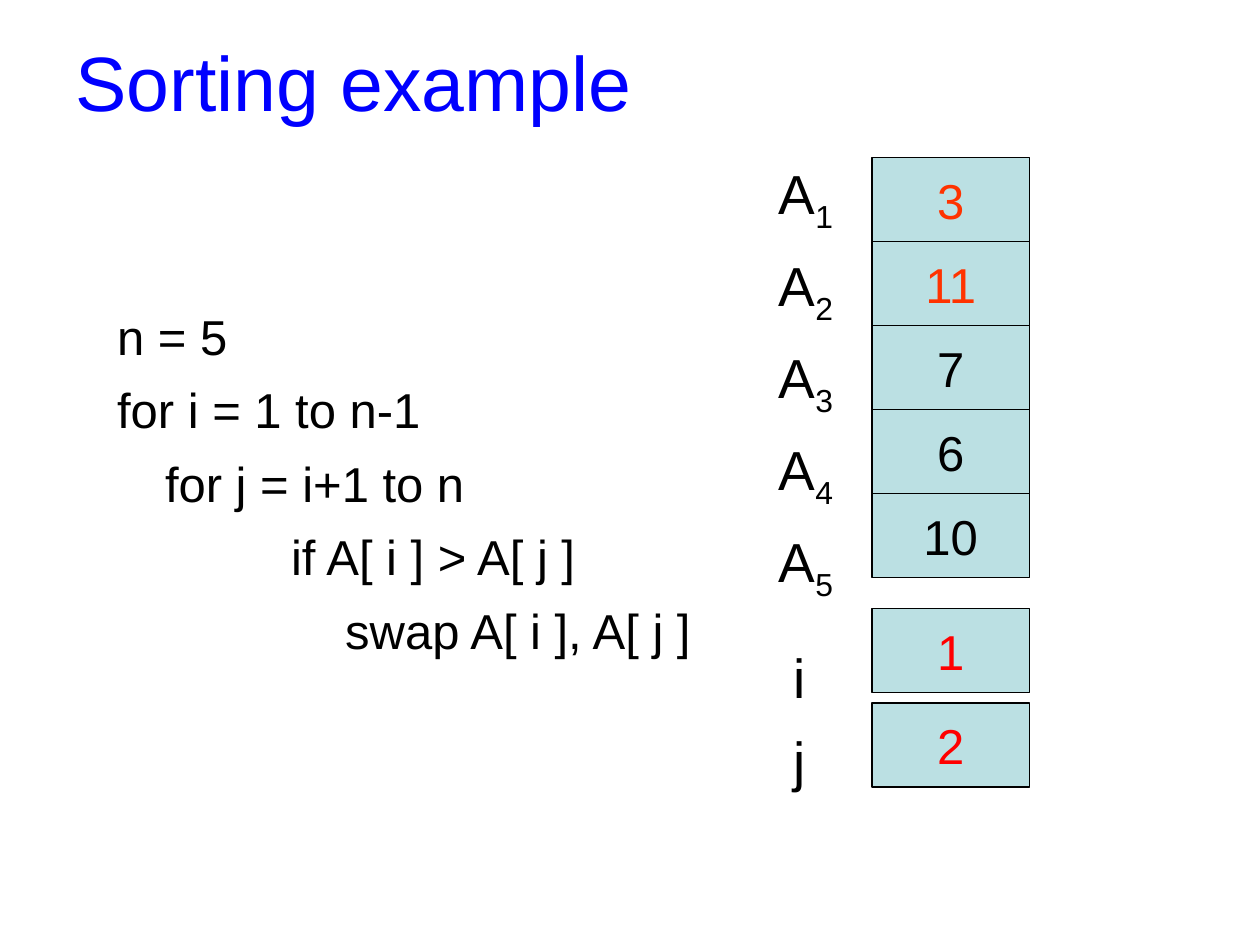
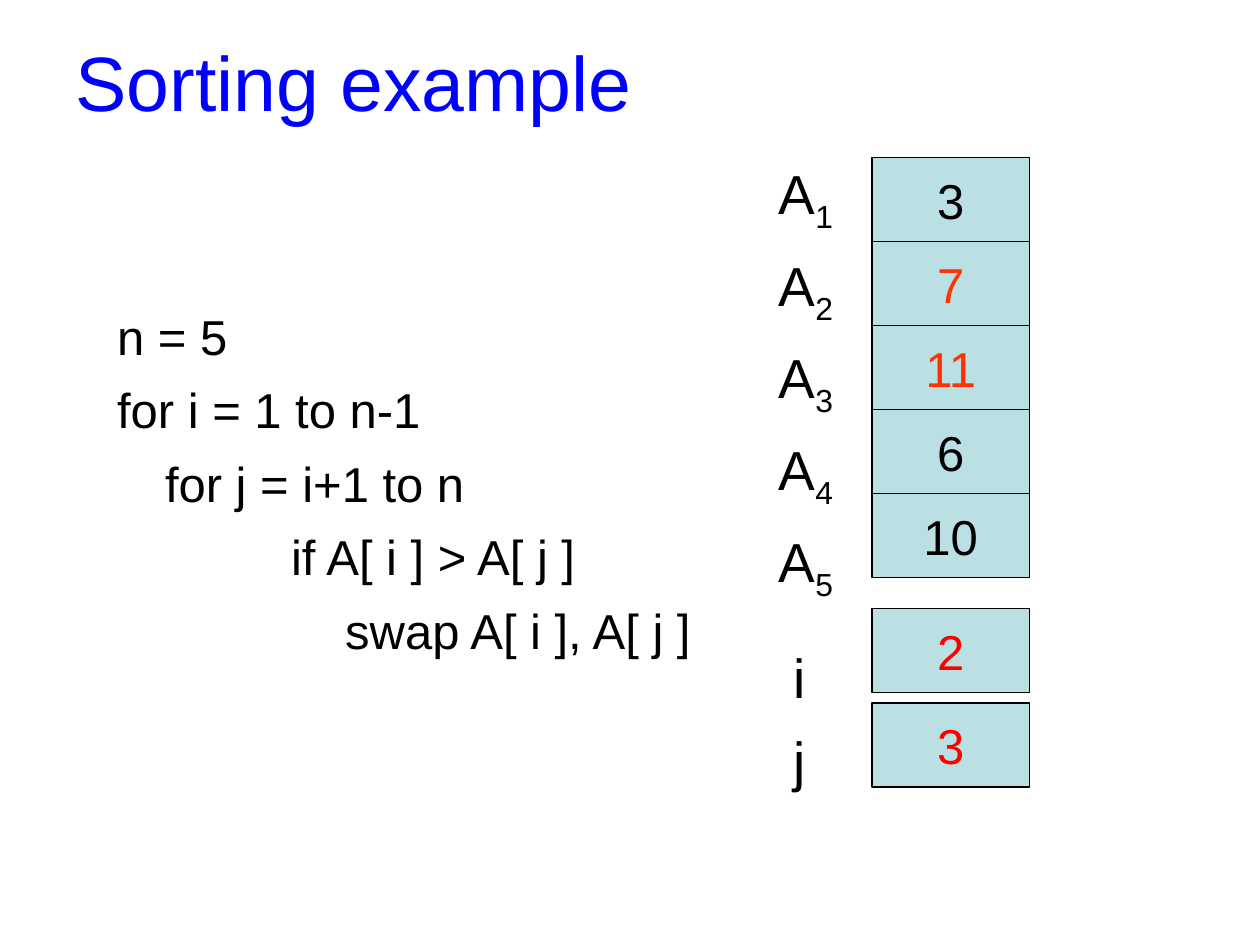
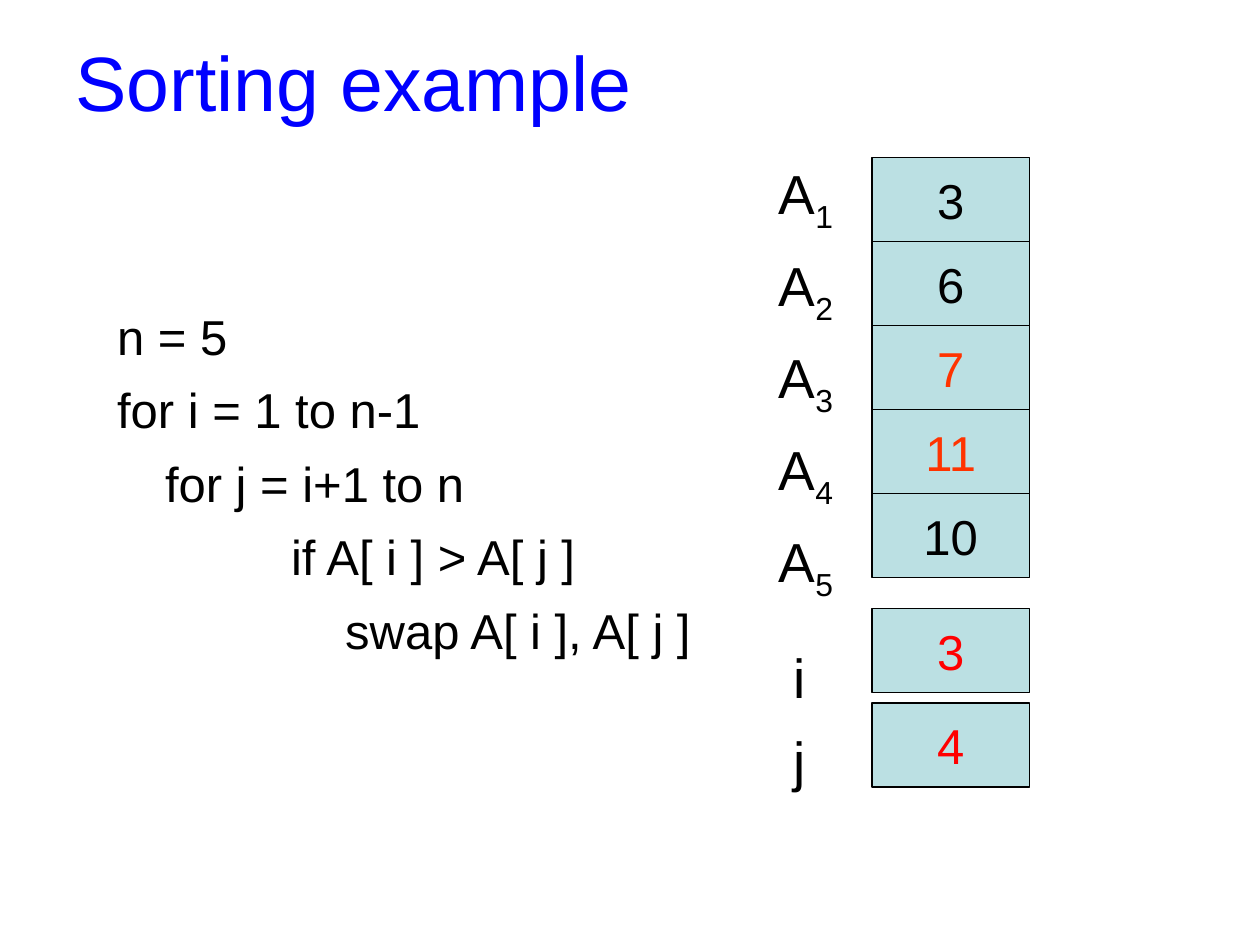
from dataclasses import dataclass

from lxml.etree import SubElement
from pptx import Presentation
from pptx.dml.color import RGBColor
from pptx.enum.shapes import MSO_SHAPE
from pptx.enum.text import MSO_ANCHOR, MSO_AUTO_SIZE, PP_ALIGN
from pptx.oxml.ns import qn
from pptx.util import Inches, Pt

TITLE = "Sorting example"

# Each line: left indent in inches, text
CODE_LINES = [
    (0, "n = 5"),
    (0, "for i = 1 to n-1"),
    (0.38, "for j = i+1 to n"),
    (1.38, "if A[ i ] > A[ j ]"),
    (1.81, "swap A[ i ], A[ j ]"),
]

# Each label: letter, subscript, left indent in inches, space before in points
LABELS = [("A", str(number), 0, 9.6) for number in range(1, 6)]
LABELS += [("i", "", 0.12, 23.3), ("j", "", 0.12, 9.6)]

# Each step: array values, i, j
STEPS = [
    ([3, 11, 7, 6, 10], 1, 2),
    ([3, 7, 11, 6, 10], 2, 3),
    ([3, 6, 7, 11, 10], 3, 4),
]

TITLE_BOX = (0.5, 0.27, 9, 1.25)
CODE_BOX = (0.83, 2.33, 4.92, 5.17)
LABEL_BOX = (6.08, 1.17, 3.5, 5.08)
CELL_LEFT, CELL_WIDTH, CELL_HEIGHT = 6.92, 1.25, 2 / 3
ARRAY_TOP, I_TOP, J_TOP = 1.25, 4.83, 5.58


@dataclass(frozen=True)
class Theme:
    font: str = "Arial"
    title: RGBColor = RGBColor(0x00, 0x00, 0xFF)
    text: RGBColor = RGBColor(0x00, 0x00, 0x00)
    compared: RGBColor = RGBColor(0xFF, 0x33, 0x00)
    index: RGBColor = RGBColor(0xFF, 0x00, 0x00)
    cell: RGBColor = RGBColor(0xBB, 0xE0, 0xE3)
    title_size: float = 44
    body_size: float = 28
    label_size: float = 31.4
    code_spacing: float = 8.4


THEME = Theme()


def add_run(paragraph, text, size, color=THEME.text):
    run = paragraph.add_run()
    run.text = text
    run.font.name = THEME.font
    run.font.size = Pt(size)
    run.font.color.rgb = color
    return run


def prepare_placeholder(placeholder, box, margin_top):
    """Move the placeholder and return its emptied text frame."""
    placeholder.left, placeholder.top, placeholder.width, placeholder.height = map(Inches, box)
    frame = placeholder.text_frame
    frame.auto_size = MSO_AUTO_SIZE.NONE
    frame.word_wrap = True
    frame.vertical_anchor = MSO_ANCHOR.TOP
    frame.margin_top = Inches(margin_top)
    return frame


def add_line(frame, number, indent, space_before):
    """Return an unbulleted paragraph; line 0 is the one already in the frame."""
    paragraph = frame.add_paragraph() if number else frame.paragraphs[0]
    properties = paragraph._p.get_or_add_pPr()
    properties.set("marL", str(Inches(indent)))
    properties.set("indent", "0")
    SubElement(properties, qn("a:buNone"))
    paragraph.space_before = Pt(space_before if number else 0)
    return paragraph


def add_title(placeholder):
    paragraph = prepare_placeholder(placeholder, TITLE_BOX, 0).paragraphs[0]
    paragraph.alignment = PP_ALIGN.LEFT
    add_run(paragraph, TITLE, THEME.title_size, THEME.title)


def add_code(placeholder):
    frame = prepare_placeholder(placeholder, CODE_BOX, 0.1)
    for number, (indent, text) in enumerate(CODE_LINES):
        paragraph = add_line(frame, number, indent, THEME.code_spacing)
        add_run(paragraph, text, THEME.body_size)


def add_labels(placeholder):
    frame = prepare_placeholder(placeholder, LABEL_BOX, 0.1)
    for number, (letter, subscript, indent, space_before) in enumerate(LABELS):
        paragraph = add_line(frame, number, indent, space_before)
        add_run(paragraph, letter, THEME.label_size)
        if subscript:
            run = add_run(paragraph, subscript, THEME.label_size)
            run._r.get_or_add_rPr().set("baseline", "-25000")


def add_cell(slide, top, value, color):
    shape = slide.shapes.add_shape(
        MSO_SHAPE.RECTANGLE,
        Inches(CELL_LEFT), Inches(top), Inches(CELL_WIDTH), Inches(CELL_HEIGHT),
    )
    shape.shadow.inherit = False
    shape.fill.solid()
    shape.fill.fore_color.rgb = THEME.cell
    shape.line.color.rgb = THEME.text
    shape.line.width = Pt(0.75)
    frame = shape.text_frame
    frame.word_wrap = False
    frame.vertical_anchor = MSO_ANCHOR.MIDDLE
    paragraph = frame.paragraphs[0]
    paragraph.alignment = PP_ALIGN.CENTER
    add_run(paragraph, str(value), THEME.body_size, color)


def add_step(presentation, values, i, j):
    slide = presentation.slides.add_slide(presentation.slide_layouts.get_by_name("Two Content"))
    title, code, labels = list(slide.placeholders)[:3]
    add_title(title)
    add_code(code)
    add_labels(labels)
    add_cell(slide, I_TOP, i, THEME.index)
    for position, value in enumerate(values):
        color = THEME.compared if position + 1 in (i, j) else THEME.text
        add_cell(slide, ARRAY_TOP + position * CELL_HEIGHT, value, color)
    add_cell(slide, J_TOP, j, THEME.index)


def main():
    presentation = Presentation()
    presentation.slide_width = Inches(10)
    presentation.slide_height = Inches(7.5)
    for values, i, j in STEPS:
        add_step(presentation, values, i, j)
    presentation.save("out.pptx")


if __name__ == "__main__":
    main()
